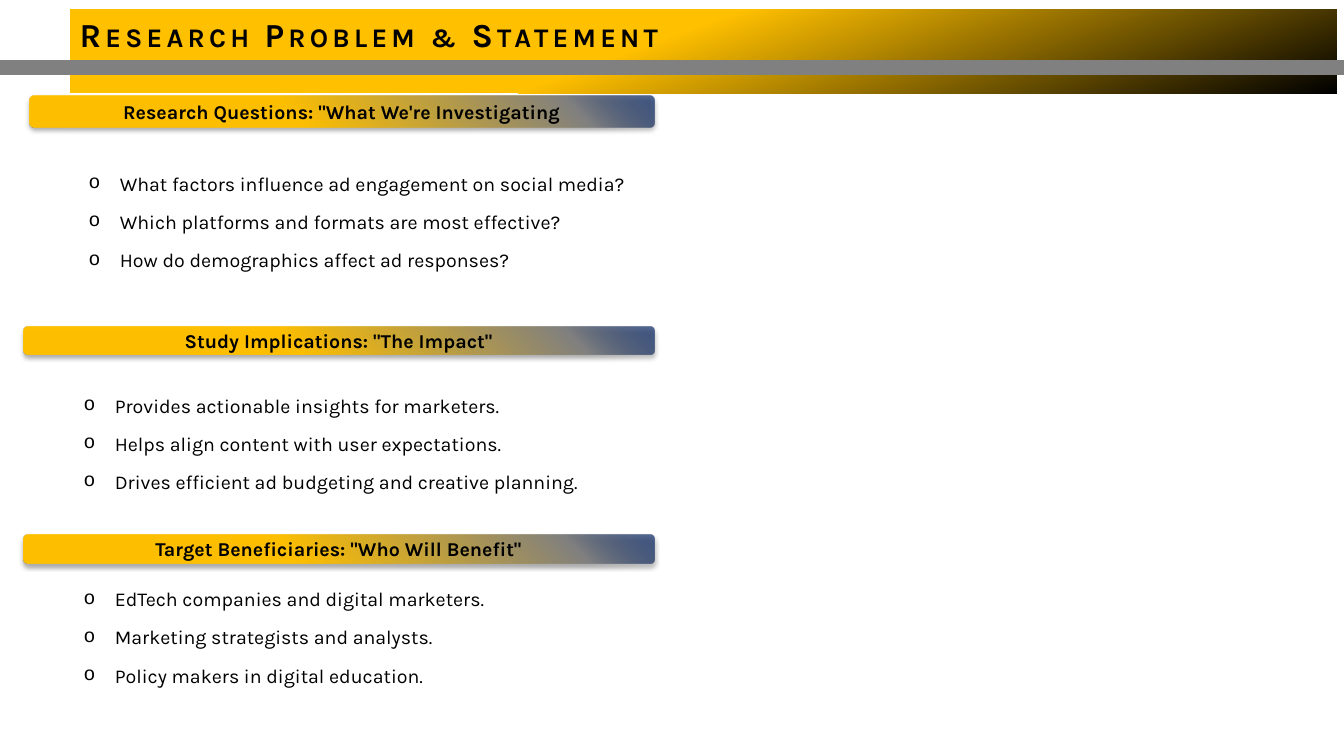
from lxml import etree
from pptx import Presentation
from pptx import util as u
from pptx.dml.color import RGBColor
from pptx.enum import shapes, text
from pptx.oxml import ns

GOLD, GREY, NAVY, BLACK = "FFC000", "808080", "002060", "000000"
SECTIONS = [
    {"heading": "Research Questions: \"What We're Investigating",
     "bar": (0.29, 0.95, 6.2, 0.31), "list": (0.28, 1.62),
     "items": ["What factors influence ad engagement on social media?",
               "Which platforms and formats are most effective?",
               "How do demographics affect ad responses?"]},
    {"heading": "Study Implications: \"The Impact\"",
     "bar": (0.23, 3.24, 6.26, 0.28), "list": (0.23, 3.82),
     "items": ["Provides actionable insights for marketers.",
               "Helps align content with user expectations.",
               "Drives efficient ad budgeting and creative planning."]},
    {"heading": "Target Beneficiaries: \"Who Will Benefit\"",
     "bar": (0.23, 5.3, 6.26, 0.29), "list": (0.23, 5.74),
     "items": ["EdTech companies and digital marketers.",
               "Marketing strategists and analysts.",
               "Policy makers in digital education."]},
]


def rgb(value):
    return RGBColor.from_string(value)


def inches(*values):
    return [u.Inches(value) for value in values]


def set_values(target, values):
    for name, value in values.items():
        setattr(target, name, value)


def add_xml(parent, tag, **attributes):
    element = etree.SubElement(parent, ns.qn(tag))
    for name, value in attributes.items():
        element.set(name, str(value))
    return element


def add_color(parent, value, opacity=100):
    color = add_xml(parent, "a:srgbClr", val=value)
    if opacity < 100:
        add_xml(color, "a:alpha", val=opacity * 1000)


def fill_gradient(shape, stops, angle=None):
    """Fill linearly at the angle, or in circles from the bottom left corner."""
    shape.fill.background()
    properties = shape.fill._xPr
    gradient = etree.Element(ns.qn("a:gradFill"), rotWithShape="1")
    stop_list = add_xml(gradient, "a:gsLst")
    for position, *color in stops:
        add_color(add_xml(stop_list, "a:gs", pos=position * 1000), *color)
    if angle is None:
        circle = add_xml(gradient, "a:path", path="circle")
        add_xml(circle, "a:fillToRect", t=100000, r=100000)
    else:
        add_xml(gradient, "a:lin", ang=angle * 60000, scaled=0)
    properties.replace(properties.find(ns.qn("a:noFill")), gradient)


def write(paragraph, content, size=14, bold=False):
    run = paragraph.add_run()
    run.text = content
    set_values(run.font, {"name": "Karla", "size": u.Pt(size), "bold": bold})
    run.font.color.rgb = rgb(BLACK)
    return run


def add_rule(slide):
    rule = slide.shapes.add_connector(
        shapes.MSO_CONNECTOR.STRAIGHT, *inches(0, 0.67, 13.33, 0.67))
    rule.line.color.rgb = rgb(GREY)
    rule.line.width = u.Pt(10)
    add_xml(rule._element.spPr, "a:effectLst")


def format_title(slide, content):
    title = slide.shapes.title
    left, top, width, height = inches(0.69, 0.09, 12.57, 0.5)
    set_values(title, {"left": left, "top": top, "width": width, "height": height})
    fill_gradient(title, [(45, GOLD), (100, BLACK)], angle=70)
    set_values(title.text_frame, {
        "vertical_anchor": text.MSO_ANCHOR.TOP, "word_wrap": True,
        "auto_size": text.MSO_AUTO_SIZE.SHAPE_TO_FIT_TEXT})
    paragraph = title.text_frame.paragraphs[0]
    paragraph.alignment = text.PP_ALIGN.LEFT
    run = write(paragraph, content, size=24, bold=True)
    run.font._element.set("spc", "300")
    run.font._element.set("cap", "small")


def add_heading_bar(slide, content, box):
    bar = slide.shapes.add_shape(
        shapes.MSO_SHAPE.ROUNDED_RECTANGLE, *inches(*box))
    bar.line.fill.background()
    fill_gradient(bar, [(0, GOLD), (42, GOLD), (86, GREY), (100, NAVY, 67)])
    bar.shadow.inherit = False
    effects = bar._element.spPr.find(ns.qn("a:effectLst"))
    shadow = add_xml(effects, "a:outerShdw", blurRad=u.Pt(3.5), dist=u.Pt(2.2),
                     dir=90 * 60000, rotWithShape=0)
    add_color(shadow, BLACK, 32)
    bar.text_frame.vertical_anchor = text.MSO_ANCHOR.MIDDLE
    paragraph = bar.text_frame.paragraphs[0]
    paragraph.alignment = text.PP_ALIGN.CENTER
    write(paragraph, content, bold=True)


def add_bullet_list(slide, items, position):
    box = slide.shapes.add_textbox(*inches(*position, 12.78, 1.12))
    frame = box.text_frame
    set_values(frame, {"word_wrap": True,
                       "auto_size": text.MSO_AUTO_SIZE.SHAPE_TO_FIT_TEXT})
    for index, item in enumerate(items):
        paragraph = frame.add_paragraph() if index else frame.paragraphs[0]
        set_values(paragraph, {"level": 1, "line_spacing": 1.15,
                               "space_after": u.Pt(8)})
        properties = paragraph._p.get_or_add_pPr()
        properties.set("marL", str(u.Inches(0.81)))
        properties.set("indent", str(u.Inches(-0.31)))
        add_xml(properties, "a:buFont", typeface="Courier New")
        add_xml(properties, "a:buChar", char="o")
        write(paragraph, item)


def main():
    presentation = Presentation()
    set_values(presentation, {"slide_width": u.Inches(13.33),
                              "slide_height": u.Inches(7.5)})
    slide = presentation.slides.add_slide(
        presentation.slide_layouts.get_by_name("Title Only"))
    add_rule(slide)
    format_title(slide, "Research Problem & Statement")
    for section in SECTIONS:
        add_heading_bar(slide, section["heading"], section["bar"])
        add_bullet_list(slide, section["items"], section["list"])
    presentation.save("out.pptx")


if __name__ == "__main__":
    main()
